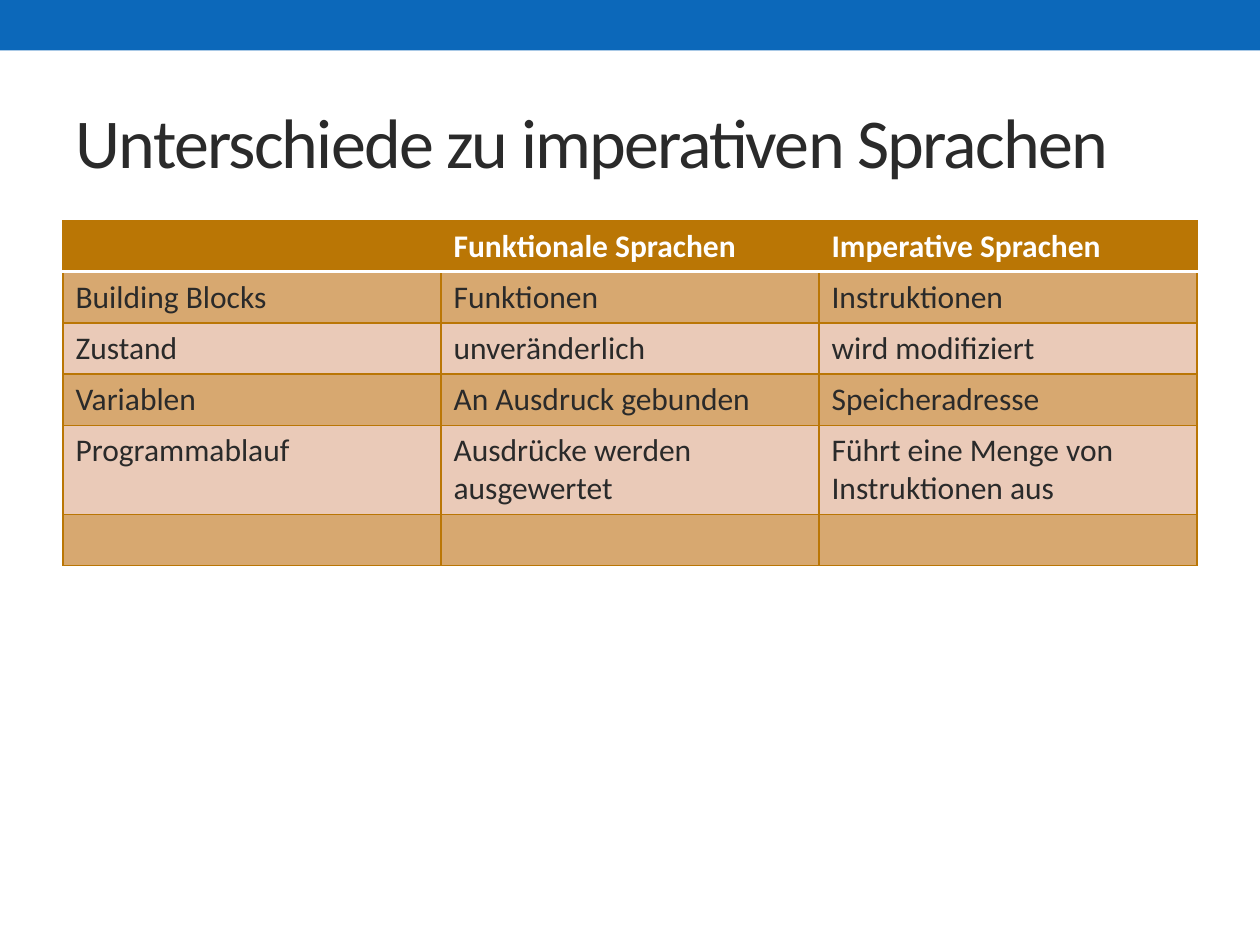
from lxml import etree
from pptx import Presentation
from pptx.dml.color import RGBColor
from pptx.enum import shapes, text
from pptx.oxml import ns
from pptx.util import Cm, Pt

# Content
TITLE = "Unterschiede zu imperativen Sprachen"
ROWS = [
    ("", "Funktionale Sprachen", "Imperative Sprachen"),
    ("Building Blocks", "Funktionen", "Instruktionen"),
    ("Zustand", "unveränderlich", "wird modifiziert"),
    ("Variablen", "An Ausdruck gebunden", "Speicheradresse"),
    ("Programmablauf", "Ausdrücke werden ausgewertet",
     "Führt eine Menge von Instruktionen aus"),
    ("", "", ""),
]

# Style
FONT = "Calibri"
BLUE, DARK, WHITE = "0C68BA", "2A2A2A", "FFFFFF"
OCHRE, ODD_BAND, EVEN_BAND = "BA7605", "D7A870", "EACAB8"
COLUMN_WIDTH, ROW_HEIGHT = 7.62, 1.03


def color(value):
    return RGBColor.from_string(value)


def format_runs(paragraph, size, value, bold=False):
    for run in paragraph.runs:
        run.font.name = FONT
        run.font.size = Pt(size)
        run.font.bold = bold
        run.font.color.rgb = color(value)


def set_borders(cell, borders):
    """Borders are (side, colour, points), in the order L, R, T, B."""
    properties = cell._tc.get_or_add_tcPr()
    for index, (side, value, width) in enumerate(borders):
        line = etree.Element(ns.qn(f"a:ln{side}"), w=str(Pt(width)))
        fill = etree.SubElement(line, ns.qn("a:solidFill"))
        etree.SubElement(fill, ns.qn("a:srgbClr"), val=value)
        properties.insert(index, line)


def add_bar(slide, width):
    bar = slide.shapes.add_shape(
        shapes.MSO_SHAPE.RECTANGLE, 0, 0, width, Cm(1.02))
    bar.shadow.inherit = False
    bar.fill.solid()
    bar.fill.fore_color.rgb = color(BLUE)
    bar.line.fill.background()


def add_title(slide):
    title = slide.shapes.title
    title.left, title.top = Cm(1.27), Cm(1.47)
    title.width, title.height = Cm(22.86), Cm(2.74)
    frame = title.text_frame
    frame.text = TITLE
    frame.vertical_anchor = text.MSO_ANCHOR.MIDDLE
    paragraph = frame.paragraphs[0]
    paragraph.alignment = text.PP_ALIGN.LEFT
    format_runs(paragraph, 40, DARK)
    for run in paragraph.runs:
        run.font._element.set("spc", "-100")


def add_comparison(slide):
    columns = len(ROWS[0])
    table = slide.shapes.add_table(
        len(ROWS), columns, Cm(1.27), Cm(4.45),
        Cm(COLUMN_WIDTH * columns), Cm(ROW_HEIGHT * len(ROWS))).table
    for column in table.columns:
        column.width = Cm(COLUMN_WIDTH)
    for row_index, row in enumerate(ROWS):
        table.rows[row_index].height = Cm(ROW_HEIGHT)
        header = row_index == 0
        band = OCHRE if header else ODD_BAND if row_index % 2 else EVEN_BAND
        thin, thick = (OCHRE, 0.75), (WHITE, 2.08)
        top = thick if row_index == 1 else thin
        bottom = thick if header else thin
        for column_index, words in enumerate(row):
            cell = table.cell(row_index, column_index)
            cell.text = words
            cell.fill.solid()
            cell.fill.fore_color.rgb = color(band)
            format_runs(cell.text_frame.paragraphs[0], 18,
                        WHITE if header else DARK, header)
            set_borders(cell, [("L", *thin), ("R", *thin),
                               ("T", *top), ("B", *bottom)])


def main():
    presentation = Presentation()
    presentation.slide_width, presentation.slide_height = Cm(25.4), Cm(19.05)
    slide = presentation.slides.add_slide(presentation.slide_layouts[5])
    add_bar(slide, presentation.slide_width)
    add_title(slide)
    add_comparison(slide)
    presentation.save("out.pptx")


if __name__ == "__main__":
    main()
